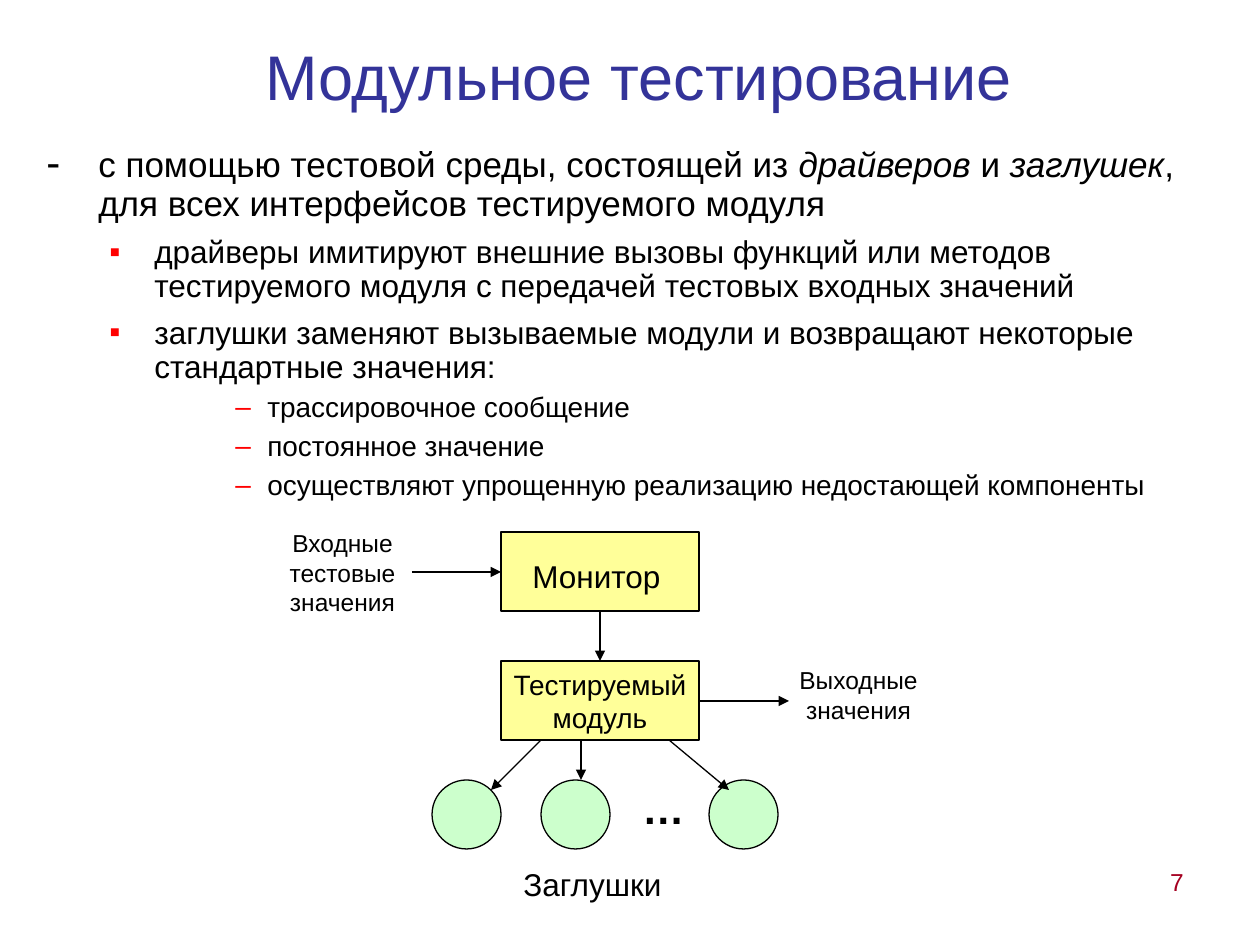
from dataclasses import dataclass
from lxml import etree
from pptx import Presentation
from pptx.dml.color import RGBColor
from pptx.enum.shapes import MSO_CONNECTOR as Connector, MSO_SHAPE as Shape
from pptx.enum.text import MSO_ANCHOR as Anchor, PP_ALIGN as Align
from pptx.oxml.ns import qn
from pptx.util import Pt

PX = 914400 / 126


@dataclass(frozen=True)
class Theme:
    font: str = "Arial"
    ink: str = "000000"
    title: str = "333399"
    bullet: str = "FF0000"
    number: str = "A50021"
    module: str = "FFFF99"
    stub: str = "CCFFCC"
    title_size: int = 36
    dash_size: int = 24
    lead_size: int = 20
    point_size: int = 18
    detail_size: int = 16
    label_size: int = 14


THEME = Theme()

HEADING = " Модульное тестирование"
LEAD = [
    ("-\t", {"size": Pt(THEME.dash_size)}),
    ("с помощью тестовой среды, состоящей из ", {}),
    ("драйверов ", {"italic": True}),
    ("и ", {}),
    ("заглушек", {"italic": True}),
    (", для всех интерфейсов тестируемого модуля", {}),
]
POINTS = [
    "драйверы имитируют внешние вызовы функций или методов тестируемого модуля "
    "с передачей тестовых входных значений",
    "заглушки заменяют вызываемые модули и возвращают некоторые стандартные значения:",
]
DETAILS = [
    "трассировочное сообщение",
    "постоянное значение",
    "осуществляют упрощенную реализацию недостающей компоненты",
]
LEVELS = {
    "lead": dict(level=0, left=52, hang=52, before=8, size=THEME.lead_size, bullet=None),
    "point": dict(level=1, left=108, hang=45, before=7, size=THEME.point_size, bullet="▪"),
    "detail": dict(level=3, left=221, hang=32, before=5, size=THEME.detail_size, bullet="–"),
}
OUTLINE = (
    [("lead", LEAD)]
    + [("point", [(point, {})]) for point in POINTS]
    + [("detail", [(detail, {})]) for detail in DETAILS]
)

MODULE_LEFT, MODULE_WIDTH, MODULE_HEIGHT = 501, 198, 79
MONITOR_TOP, TESTED_TOP = 532, 661
STUB_TOP, STUB_SIZE = 780, 69
STUB_LEFTS = [432, 541, 709]

MODULE_RIGHT = MODULE_LEFT + MODULE_WIDTH
MODULE_MIDDLE = MODULE_LEFT + MODULE_WIDTH // 2
TESTED_BOTTOM = TESTED_TOP + MODULE_HEIGHT

NODES = [
    (Shape.RECTANGLE, (MODULE_LEFT, top, MODULE_WIDTH, MODULE_HEIGHT), THEME.module)
    for top in (TESTED_TOP, MONITOR_TOP)
] + [
    (Shape.OVAL, (left, STUB_TOP, STUB_SIZE, STUB_SIZE), THEME.stub)
    for left in STUB_LEFTS
]
LABELS = [
    ("Тестируемый модуль", (481, 661, 238, 81), THEME.detail_size, Align.CENTER, False),
    ("Монитор", (520, 551, 179, 50), THEME.point_size, Align.LEFT, False),
    ("Заглушки", (511, 859, 189, 50), THEME.point_size, Align.LEFT, False),
    ("…", (630, 776, 89, 63), THEME.dash_size, Align.LEFT, True),
    ("Входные тестовые значения", (263, 522, 159, 101), THEME.label_size, Align.CENTER, False),
    ("Выходные значения", (779, 659, 159, 72), THEME.label_size, Align.CENTER, False),
]
ARROWS = [
    ((412, 572), (MODULE_LEFT, 572), 1.5),
    ((MODULE_MIDDLE, MONITOR_TOP + MODULE_HEIGHT), (MODULE_MIDDLE, TESTED_TOP), 0.75),
    ((541, TESTED_BOTTOM), (491, 790), 0.75),
    ((581, TESTED_BOTTOM), (581, STUB_TOP), 0.75),
    ((669, TESTED_BOTTOM), (729, 790), 0.75),
    ((MODULE_RIGHT, 701), (789, 701), 0.75),
]


def emu(*lengths):
    return [round(length * PX) for length in lengths]


def rgb(color):
    return RGBColor.from_string(color)


def add_frame(slide, box, anchor=Anchor.TOP):
    frame = slide.shapes.add_textbox(*emu(*box)).text_frame
    frame.word_wrap = True
    frame.vertical_anchor = anchor
    return frame


def add_run(paragraph, text, size, color=THEME.ink, **formats):
    run = paragraph.add_run()
    run.text = text
    run.font.color.rgb = rgb(color)
    for attribute, value in {"name": THEME.font, "size": Pt(size), **formats}.items():
        setattr(run.font, attribute, value)


def add_label(slide, text, box, size, align, color=THEME.ink, anchor=Anchor.TOP, **formats):
    paragraph = add_frame(slide, box, anchor).paragraphs[0]
    paragraph.alignment = align
    add_run(paragraph, text, size, color, **formats)


def indent(paragraph, left, hang, bullet):
    properties = paragraph._p.get_or_add_pPr()
    for key, length in {"marL": left, "indent": -hang}.items():
        properties.set(key, str(emu(length)[0]))
    if bullet:
        color = etree.SubElement(properties, qn("a:buClr"))
        etree.SubElement(color, qn("a:srgbClr"), val=THEME.bullet)
        etree.SubElement(properties, qn("a:buFont"), typeface=THEME.font)
        etree.SubElement(properties, qn("a:buChar"), char=bullet)
    else:
        etree.SubElement(properties, qn("a:buNone"))


def add_outline(slide):
    frame = add_frame(slide, (34, 135, 1196, 476))
    for index, (kind, runs) in enumerate(OUTLINE):
        look = LEVELS[kind]
        paragraph = frame.add_paragraph() if index else frame.paragraphs[0]
        formats = {"level": look["level"], "line_spacing": 0.9, "space_before": Pt(look["before"])}
        for attribute, value in formats.items():
            setattr(paragraph, attribute, value)
        indent(paragraph, look["left"], look["hang"], look["bullet"])
        for text, run_formats in runs:
            add_run(paragraph, text, **{"size": look["size"]} | {
                key: value.pt if key == "size" else value for key, value in run_formats.items()
            })


def add_node(slide, kind, box, fill):
    node = slide.shapes.add_shape(kind, *emu(*box))
    node.shadow.inherit = False
    node.fill.solid()
    node.fill.fore_color.rgb = rgb(fill)
    node.line.color.rgb = rgb(THEME.ink)
    node.line.width = Pt(0.75)


def add_arrow(slide, start, end, width):
    arrow = slide.shapes.add_connector(Connector.STRAIGHT, *emu(*start, *end))
    arrow.line.color.rgb = rgb(THEME.ink)
    arrow.line.width = Pt(width)
    etree.SubElement(arrow.line._get_or_add_ln(), qn("a:tailEnd"), type="triangle")
    etree.SubElement(arrow._element.spPr, qn("a:effectLst"))


def main():
    deck = Presentation()
    deck.slide_width, deck.slide_height = emu(1260, 945)
    slide = deck.slides.add_slide(deck.slide_layouts[6])
    add_label(slide, HEADING, (63, -4, 1134, 158), THEME.title_size, Align.CENTER,
              THEME.title, Anchor.MIDDLE)
    add_outline(slide)
    for node in NODES:
        add_node(slide, *node)
    for text, box, size, align, bold in LABELS:
        add_label(slide, text, box, size, align, bold=bold)
    for arrow in ARROWS:
        add_arrow(slide, *arrow)
    add_label(slide, "7", (903, 861, 293, 64), THEME.label_size, Align.RIGHT, THEME.number)
    deck.save("out.pptx")


if __name__ == "__main__":
    main()
